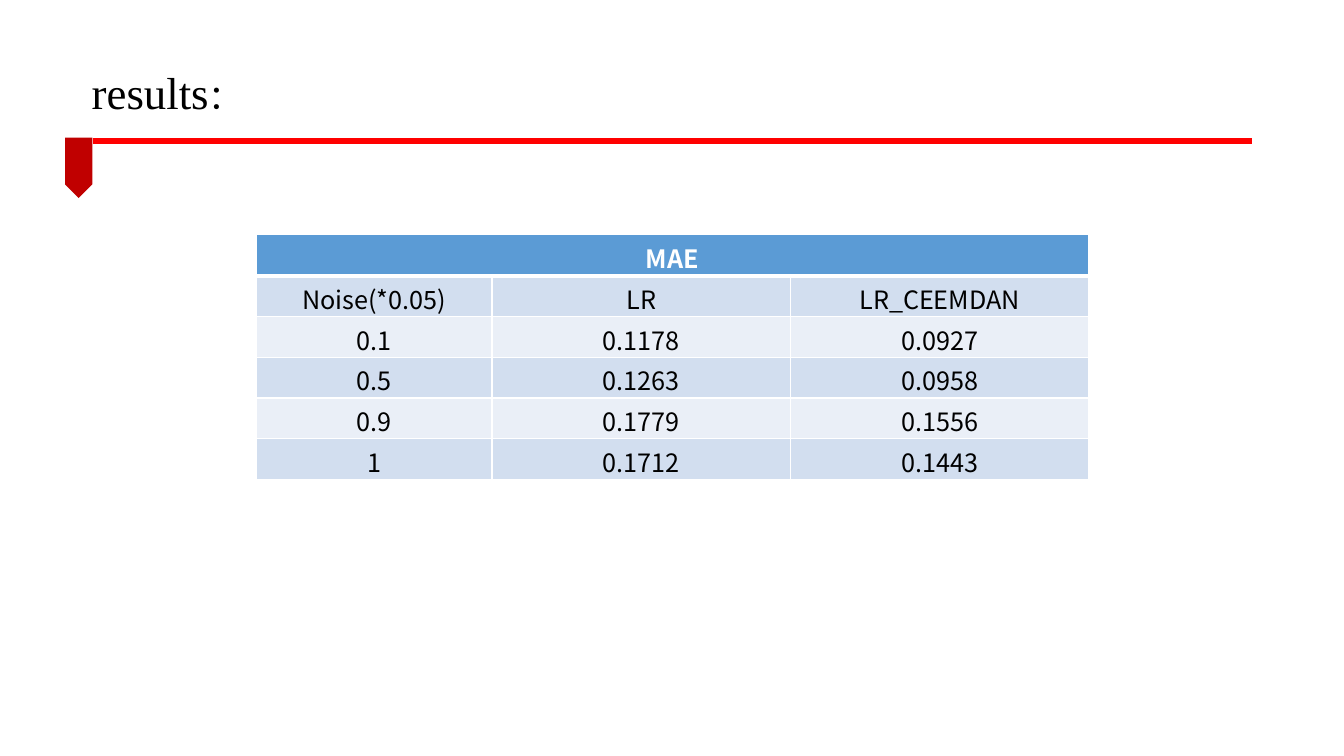
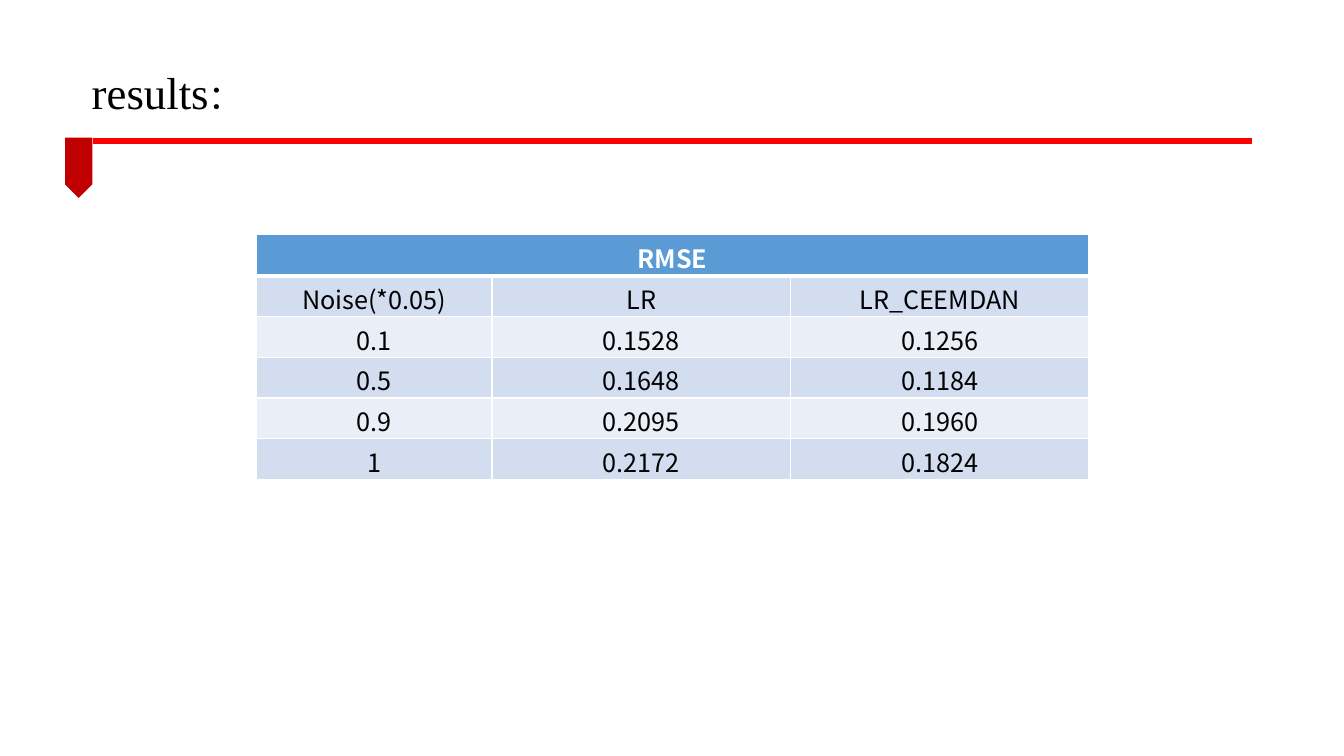
"""Build two result slides, each with a table of forecast errors by noise level."""
import pptx
import pptx.dml.color
import pptx.enum.shapes
import pptx.enum.text
import pptx.oxml
import pptx.oxml.ns
import pptx.util
from pptx.util import Inches

COLOURS = {
    "rule": "FF0000",
    "ribbon": "C00000",
    "text": "000000",
    "white": "FFFFFF",
    "header": "5B9BD5",
    "dark band": "D2DEEF",
    "light band": "EAEFF7",
}
SERIF, SANS = "Times New Roman", "Noto Sans CJK SC"
COLUMN_WIDTHS = (2.34, 2.96, 2.96)
ROW_HEIGHT = 0.405
HEADINGS = ("Noise(*0.05)", "LR", "LR_CEEMDAN")
NOISE_LEVELS = ("0.1", "0.5", "0.9", "1")
RESULTS = {
    "MAE": (
        ("0.1178", "0.1263", "0.1779", "0.1712"),
        ("0.0927", "0.0958", "0.1556", "0.1443"),
    ),
    "RMSE": (
        ("0.1528", "0.1648", "0.2095", "0.2172"),
        ("0.1256", "0.1184", "0.1960", "0.1824"),
    ),
}


def colour(name):
    """Return the named colour."""
    return pptx.dml.color.RGBColor.from_string(COLOURS[name])


def assign(target, values):
    """Set attributes of the target from a dict."""
    for name, value in values.items():
        setattr(target, name, value)


def xml(text):
    """Parse an element in the drawing namespace."""
    return pptx.oxml.parse_xml(text.replace(" ", f" {pptx.oxml.ns.nsdecls('a')} ", 1))


class ResultDeck:
    """Hold the shared style and the current slide."""

    def __init__(self):
        """Start a widescreen deck."""
        self.deck = pptx.Presentation()
        assign(self.deck, {"slide_width": Inches(13.33), "slide_height": Inches(7.5)})
        self.page = None

    def add_page(self):
        """Add a page with its rule and ribbon."""
        self.page = self.deck.slides.add_slide(self.deck.slide_layouts[5])
        self.add_rule()
        self.add_ribbon()

    def add_rule(self):
        """Draw the red line below the title."""
        rule = self.page.shapes.add_connector(
            pptx.enum.shapes.MSO_CONNECTOR.STRAIGHT,
            Inches(0.92), Inches(1.4), Inches(12.42), Inches(1.4))
        rule.line.color.rgb = colour("rule")
        rule.line.width = pptx.util.Pt(4.5)
        rule._element.spPr.append(xml("<a:effectLst />"))

    def add_ribbon(self):
        """Draw the ribbon that hangs from the rule."""
        ribbon = self.page.shapes.add_shape(
            pptx.enum.shapes.MSO_SHAPE.PENTAGON,
            Inches(0.48), Inches(1.53), Inches(0.6), Inches(0.27))
        ribbon.rotation = 90
        ribbon.shadow.inherit = False
        ribbon.fill.solid()
        ribbon.fill.fore_color.rgb = colour("ribbon")
        ribbon.line.fill.background()

    def add_span(self, para, text, face, size, shade="text", bold=False):
        """Add formatted text to a paragraph."""
        span = para.add_run()
        span.text = text
        assign(span.font, {"name": face, "size": pptx.util.Pt(size), "bold": bold})
        span.font.color.rgb = colour(shade)
        span.font._element.find(pptx.oxml.ns.qn("a:latin")).addnext(
            xml(f'<a:ea typeface="{face}"/>'))

    def add_title(self, spans):
        """Fill and place the title."""
        box = self.page.shapes.title
        assign(box, {"left": Inches(0.81), "top": Inches(0.59),
                     "width": Inches(10.43), "height": Inches(0.64)})
        assign(box.text_frame, {
            "vertical_anchor": pptx.enum.text.MSO_ANCHOR.TOP,
            "auto_size": pptx.enum.text.MSO_AUTO_SIZE.NONE, "word_wrap": True})
        para = box.text_frame.paragraphs[0]
        para.alignment = pptx.enum.text.PP_ALIGN.LEFT
        for text, face, size in spans:
            self.add_span(para, text, face, size)

    def format_cell(self, cell, fill, bottom_width):
        """Give a cell its margins, fill and white borders."""
        assign(cell, {"margin_top": 0, "margin_bottom": 0,
                      "vertical_anchor": pptx.enum.text.MSO_ANCHOR.BOTTOM})
        cell.fill.solid()
        cell.fill.fore_color.rgb = colour(fill)
        properties = cell._tc.get_or_add_tcPr()
        widths = {"lnL": 1, "lnR": 1, "lnT": 1, "lnB": bottom_width}
        for position, (side, width) in enumerate(widths.items()):
            properties.insert(position, xml(
                f'<a:{side} w="{pptx.util.Pt(width)}"><a:solidFill>'
                f'<a:srgbClr val="{COLOURS["white"]}"/></a:solidFill></a:{side}>'))

    def add_table(self, heading, rows):
        """Add a banded table below a merged heading."""
        grid = [(heading, "", ""), *rows]
        table = self.page.shapes.add_table(
            len(grid), len(COLUMN_WIDTHS), Inches(2.54), Inches(2.33),
            Inches(sum(COLUMN_WIDTHS)), Inches(ROW_HEIGHT * len(grid))).table
        for column, width in zip(table.columns, COLUMN_WIDTHS):
            column.width = Inches(width)
        table.cell(0, 0).merge(table.cell(0, len(COLUMN_WIDTHS) - 1))
        for row_index, texts in enumerate(grid):
            is_header = row_index == 0
            band = "dark band" if row_index % 2 else "light band"
            for column_index, text in enumerate(texts):
                cell = table.cell(row_index, column_index)
                self.format_cell(cell, "header" if is_header else band,
                                 3 if is_header else 1)
                if text:
                    para = cell.text_frame.paragraphs[0]
                    para.alignment = pptx.enum.text.PP_ALIGN.CENTER
                    self.add_span(para, text, SANS, 18,
                                  "white" if is_header else "text", is_header)


def main():
    """Build and save the deck."""
    results = ResultDeck()
    for measure, columns in RESULTS.items():
        results.add_page()
        results.add_title((("results", SERIF, 32), ("：", SANS, 24)))
        results.add_table(measure, [HEADINGS, *zip(NOISE_LEVELS, *columns)])
    results.deck.save("out.pptx")


if __name__ == "__main__":
    main()
